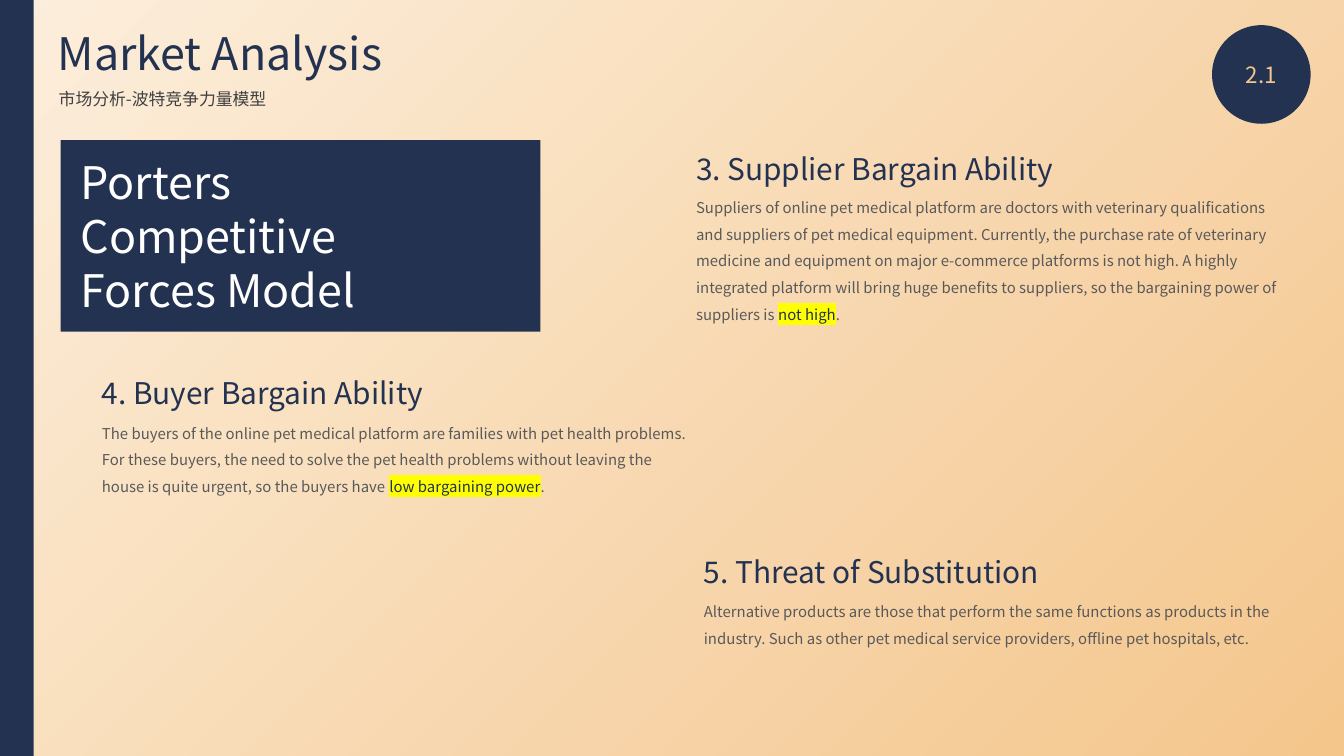
from lxml import etree
from pptx import Presentation
from pptx.dml import color
from pptx.enum import shapes, text
from pptx.oxml import ns
from pptx.util import Pt

FONT = "Noto Sans CJK SC"
NAVY, SAND, CREAM = "223250", "F4C68C", "FCEEDC"
GRAY, DARK, WHITE, YELLOW = "595959", "404040", "FFFFFF", "FFFF00"

FORCES = [
    (365.8, 77, 242, 80, "3. Supplier Bargain Ability", 97.9, [
        "Suppliers of online pet medical platform are doctors with veterinary "
        "qualifications and suppliers of pet medical equipment. Currently, the "
        "purchase rate of veterinary medicine and equipment on major e-commerce "
        "platforms is not high. A highly integrated platform will bring huge "
        "benefits to suppliers, so the bargaining power of suppliers is ",
        "not high", "."]),
    (47.5, 197.3, 225, 51, "4. Buyer Bargain Ability", 218.9, [
        "The buyers of the online pet medical platform are families with pet "
        "health problems. For these buyers, the need to solve the pet health "
        "problems without leaving the house is quite urgent, so the buyers have ",
        "low bargaining power", "."]),
    (370, 293, 221, 50, "5. Threat of Substitution", 314.6, [
        "Alternative products are those that perform the same functions as "
        "products in the industry. Such as other pet medical service providers, "
        "offline pet hospitals, etc."]),
]


def rgb(code):
    """Turn a hex string into a colour."""
    return color.RGBColor.from_string(code)


def style(run, size, code):
    """Set the font, size and colour of a run."""
    run.font.name = FONT
    run.font.size = Pt(size)
    run.font.color.rgb = rgb(code)
    east = etree.SubElement(run.font._element, ns.qn("a:ea"))
    east.set("typeface", FONT)


def mark(run, code):
    """Highlight a run."""
    light = etree.Element(ns.qn("a:highlight"))
    etree.SubElement(light, ns.qn("a:srgbClr")).set("val", code)
    run.font._element.find(ns.qn("a:solidFill")).addnext(light)


def block(items, kind, box, code):
    """Add a plain filled shape."""
    item = items.add_shape(kind, *map(Pt, box))
    item.shadow.inherit = False
    item.fill.solid()
    item.fill.fore_color.rgb = rgb(code)
    item.line.fill.background()


def write(item, words, size, code, align=text.PP_ALIGN.LEFT):
    """Fill a box with evenly styled text."""
    frame = item.text_frame
    frame.text = words
    frame.word_wrap = True
    frame.auto_size = text.MSO_AUTO_SIZE.SHAPE_TO_FIT_TEXT
    frame.vertical_anchor = text.MSO_ANCHOR.TOP
    for para in frame.paragraphs:
        para.alignment = align
        for run in para.runs:
            style(run, size, code)


def label(items, box, *args):
    """Add a text box."""
    item = items.add_textbox(*map(Pt, box))
    write(item, *args)
    return item


def head(slide):
    """Place the slide title."""
    title = slide.shapes.title
    title.left, title.top, title.width, title.height = map(Pt, (23.8, 10, 302, 36))
    write(title, "Market Analysis", 24, NAVY)


def force(items, left, top, width, height, name, low, parts):
    """Add one force: body text with its key words marked, then its heading."""
    body = label(items, (left, low, 333.4, height), parts[0], 8, GRAY)
    para = body.text_frame.paragraphs[0]
    para.line_spacing = 1.5
    for part in parts[1:]:
        run = para.add_run()
        run.text = part
        key = part != "."
        style(run, 8, NAVY if key else GRAY)
        if key:
            mark(run, YELLOW)
    label(items, (left, top, width, 26.6), name, 16, NAVY)


def badge(items):
    """Add the round section number."""
    group = items.add_group_shape().shapes
    block(group, shapes.MSO_SHAPE.OVAL, (649.3, 13.5, 52.8, 52.8), NAVY)
    label(group, (648.7, 29.3, 54, 21.6), "2.1", 12, SAND, text.PP_ALIGN.CENTER)


def paint(slide):
    """Give the slide its diagonal gradient."""
    fill = slide.background.fill
    fill.gradient()
    fill.gradient_angle = 135
    for stop, code in zip(fill.gradient_stops, (SAND, CREAM)):
        stop.color.rgb = rgb(code)


def main():
    """Build and save the slide."""
    deck = Presentation()
    deck.slide_width, deck.slide_height = Pt(720), Pt(405)
    slide = deck.slides.add_slide(deck.slide_layouts[5])
    items = slide.shapes
    paint(slide)
    head(slide)
    rect = shapes.MSO_SHAPE.RECTANGLE
    block(items, rect, (32.5, 75, 257, 102.7), NAVY)
    label(items, (24.4, 43.9, 205, 18), "市场分析-波特竞争力量模型", 9, DARK,
          text.PP_ALIGN.JUSTIFY)
    block(items, rect, (0, 0, 18, 405), NAVY)
    badge(items)
    for row in FORCES:
        force(items, *row)
    label(items, (36, 79.4, 174.2, 94), "Porters\nCompetitive\nForces Model", 24, WHITE)
    deck.save("out.pptx")


if __name__ == "__main__":
    main()
